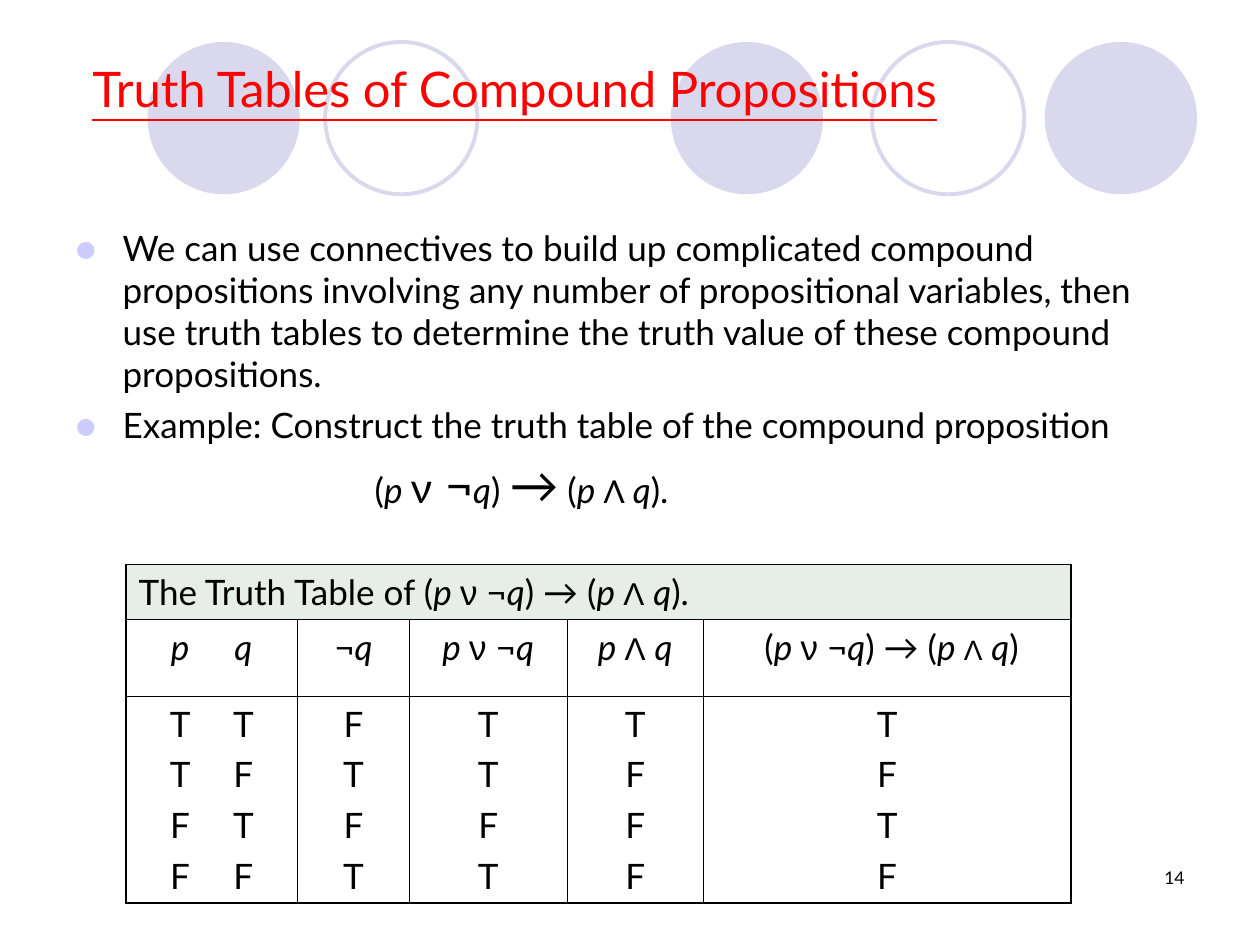
from lxml import etree
from pptx import Presentation
from pptx.dml.color import RGBColor
from pptx.enum import shapes, text
from pptx.oxml.ns import qn
from pptx.util import Pt

FONT = "Lato"
ITALIC = {"p": {"italic": True}, "q": {"italic": True}}
CENTER = text.PP_ALIGN.CENTER


def color(value):
    return RGBColor.from_string(value)


def add_element(parent, tag, **attributes):
    return etree.SubElement(parent, qn(tag), attributes)


def add_text(paragraph, content, size=20, font=FONT, fill="000000",
             italic=False, underline=False):
    run = paragraph.add_run()
    run.text = content
    run.font.size = Pt(size)
    run.font.name = font
    run.font.color.rgb = color(fill)
    run.font.italic = italic
    run.font.underline = underline


def add_formula(paragraph, formula, symbols):
    """Write the parts between bars, each in the style of its symbol."""
    styles = {**ITALIC, **symbols}
    for part in formula.split("|"):
        add_text(paragraph, part, **styles.get(part.strip(), {}))


def next_paragraph(frame, first, align=None):
    paragraph = frame.paragraphs[0] if first else frame.add_paragraph()
    paragraph.alignment = align
    if not first:
        paragraph.space_before = Pt(5)
    return paragraph


def add_frame(slide, box):
    frame = slide.shapes.add_textbox(*map(Pt, box)).text_frame
    frame.word_wrap = True
    return frame


# Row of filled and outlined circles behind the title
def add_circles(slide, box):
    left, top, width, size = box
    circles = ((0, True), (101.5, False), (299, True),
               (414, False), (width - size, True))
    for offset, filled in circles:
        circle = slide.shapes.add_shape(
            shapes.MSO_SHAPE.OVAL, Pt(left + offset), Pt(top), Pt(size), Pt(size))
        circle.shadow.inherit = False
        if filled:
            circle.fill.solid()
            circle.fill.fore_color.rgb = color("D9D8EC")
            circle.line.fill.background()
        else:
            circle.fill.background()
            circle.line.color.rgb = color("D9D8EC")
            circle.line.width = Pt(2.25)


def add_title(slide, box):
    frame = add_frame(slide, box)
    paragraph = next_paragraph(frame, True, CENTER)
    add_text(paragraph, "Truth Tables of Compound Propositions",
             size=28, fill="FF0000", underline=True)


# Two bullets and the example formula
def add_body(slide, box):
    frame = add_frame(slide, box)
    bullets = (
        "We can use connectives to build up complicated compound propositions "
        "involving any number of propositional variables, then use truth tables "
        "to determine the truth value of these compound propositions.",
        "Example: Construct the truth table of the compound proposition",
    )
    for index, bullet in enumerate(bullets):
        paragraph = next_paragraph(frame, index == 0)
        properties = paragraph._p.get_or_add_pPr()
        properties.set("marL", str(Pt(27)))
        properties.set("indent", str(-Pt(27)))
        bullet_color = add_element(properties, "a:buClr")
        add_element(bullet_color, "a:srgbClr", val="CCCCFF")
        add_element(properties, "a:buFont", typeface=FONT)
        add_element(properties, "a:buChar", char="●")
        add_text(paragraph, bullet)

    paragraph = next_paragraph(frame, False)
    paragraph._p.get_or_add_pPr().set("marL", str(Pt(171)))
    add_formula(paragraph, "(|p |ν| ¬|q|) |→| (|p |Λ |q|).",
                {"ν": {"size": 24}, "¬": {"size": 28},
                 "→": {"size": 28}, "Λ": {"size": 18}})


def set_border(cell, side, width):
    line = add_element(cell._tc.get_or_add_tcPr(), f"a:ln{side}", w=str(Pt(width)))
    add_element(add_element(line, "a:solidFill"), "a:srgbClr", val="000000")


def add_pair_tabs(paragraph):
    """Centre the two variables of the first column on tab stops."""
    tabs = add_element(paragraph._p.get_or_add_pPr(), "a:tabLst")
    for position in (23.7, 59.9):
        add_element(tabs, "a:tab", pos=str(Pt(position)), algn="ctr")


def add_truth_table(slide, box):
    widths = (98, 64, 90, 78, 210)
    heights = (31, 44, 118)
    columns = (
        ("\t|p|\t|q", ("\tT\tT", "\tT\tF", "\tF\tT", "\tF\tF")),
        ("¬|q", "FTFT"),
        ("p |ν| ¬|q", "TTFT"),
        ("p |Λ| |q", "TFFF"),
        (" (|p |ν| ¬|q|) → (|p |Λ| |q|)", "TFTF"),
    )
    table = slide.shapes.add_table(
        len(heights), len(widths), *map(Pt, box)).table
    table.first_row = table.horz_banding = False
    for column, width in zip(table.columns, widths):
        column.width = Pt(width)
    for row, height in zip(table.rows, heights):
        row.height = Pt(height)

    # Borders come before the fill in a cell's properties
    last_row, last_column = len(heights) - 1, len(widths) - 1
    for r in range(len(heights)):
        for c in range(len(widths)):
            cell = table.cell(r, c)
            left = c == 0
            right = c == last_column or r == 0
            outer = {"L": left, "R": right, "T": r == 0, "B": r == last_row}
            for side, is_outer in outer.items():
                set_border(cell, side, 1.08 if is_outer else 0.45)
            if r == 0:
                cell.fill.solid()
                cell.fill.fore_color.rgb = color("E7EDE7")
            else:
                cell.fill.background()

    # Heading across all columns
    heading = table.cell(0, 0)
    heading.merge(table.cell(0, last_column))
    symbols = {"ν": {"font": "Arial"}, "Λ": {"font": "Arial", "size": 18}}
    add_formula(heading.text_frame.paragraphs[0],
                "The Truth Table of (|p |ν| ¬|q|) → (|p |Λ| |q|).", symbols)

    # Column headings and truth values
    for c, (formula, values) in enumerate(columns):
        align = text.PP_ALIGN.LEFT if c == 0 else CENTER
        paragraph = next_paragraph(table.cell(1, c).text_frame, True, align)
        if c == 0:
            add_pair_tabs(paragraph)
        if c == last_column:
            symbols["Λ"]["size"] = 16
        add_formula(paragraph, formula, symbols)
        for index, value in enumerate(values):
            paragraph = next_paragraph(
                table.cell(2, c).text_frame, index == 0, align)
            if c == 0:
                add_pair_tabs(paragraph)
            add_text(paragraph, value)


def add_page_number(slide, box):
    frame = add_frame(slide, box)
    add_text(next_paragraph(frame, True, text.PP_ALIGN.RIGHT), "14", size=10)


def main():
    presentation = Presentation()
    presentation.slide_width, presentation.slide_height = Pt(720), Pt(540)
    slide = presentation.slides.add_slide(presentation.slide_layouts[6])
    add_circles(slide, (84.3, 24, 599.7, 87))
    add_body(slide, (36, 126, 642, 198))
    add_title(slide, (36, 30, 516, 75))
    add_truth_table(slide, (72, 322.5, 540, 193))
    add_page_number(slide, (516, 492, 168, 36))
    presentation.save("out.pptx")


if __name__ == "__main__":
    main()
